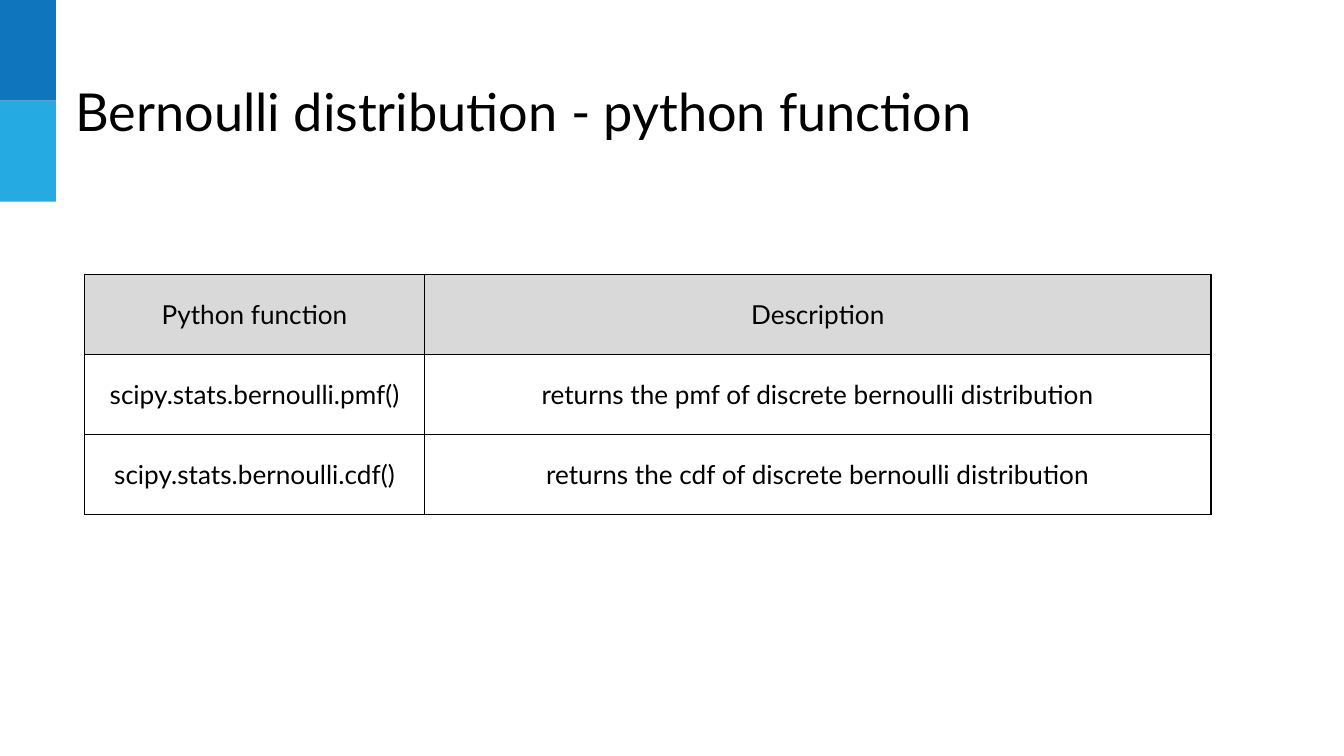
from dataclasses import dataclass

from lxml.etree import SubElement
from pptx import Presentation
from pptx.dml.color import RGBColor
from pptx.enum.shapes import MSO_SHAPE
from pptx.enum.text import MSO_ANCHOR, PP_ALIGN
from pptx.oxml.ns import qn
from pptx.util import Inches, Pt

WIDE = Inches(10)
HIGH = WIDE * 9 // 16
PAD = Inches(0.1)
FONT = "Lato"
HUES = {"deep": "0F75BD", "light": "25AAE2", "head": "D9D9D9", "ink": "000000"}


@dataclass
class Box:
    """A place in percent of the slide's width and height."""
    left: float
    top: float
    width: float
    height: float

    def emu(self) -> tuple[int, int, int, int]:
        return (round(self.left * WIDE / 100), round(self.top * HIGH / 100),
                round(self.width * WIDE / 100), round(self.height * HIGH / 100))


@dataclass
class Band:
    row: int
    hue: str


BAND_W, BAND_H = 4.17, 13.33
BANDS = [Band(0, "deep"), Band(1, "light")]
TITLE = Box(4.64, 8.7, 73.7, 11.2)
GRID = Box(6.3, 36.3, 83.8, 31.75)
COLS = (25.3, 58.5)
ROWS = [
    ("Python function", "Description"),
    ("scipy.stats.bernoulli.pmf()",
     "returns the pmf of discrete bernoulli distribution"),
    ("scipy.stats.bernoulli.cdf()",
     "returns the cdf of discrete bernoulli distribution"),
]


def color(name: str) -> RGBColor:
    return RGBColor.from_string(HUES[name])


def write(frame, text: str, *, size: float, hue: str = "ink",
          align=PP_ALIGN.LEFT) -> None:
    frame.word_wrap = True
    para = frame.paragraphs[0]
    para.alignment = align
    run = para.add_run()
    run.text = text
    run.font.name = FONT
    run.font.size = Pt(size)
    run.font.color.rgb = color(hue)


def draw_band(slide, band: Band) -> None:
    place = Box(0, band.row * BAND_H, BAND_W, BAND_H)
    shape = slide.shapes.add_shape(MSO_SHAPE.RECTANGLE, *place.emu())
    shape.shadow.inherit = False
    shape.fill.solid()
    shape.fill.fore_color.rgb = color(band.hue)
    shape.line.fill.background()


def draw_title(slide, text: str) -> None:
    frame = slide.shapes.add_textbox(*TITLE.emu()).text_frame
    frame.margin_left = frame.margin_right = PAD
    frame.margin_top = frame.margin_bottom = PAD
    frame.vertical_anchor = MSO_ANCHOR.TOP
    write(frame, text, size=28)


def add_edges(cell, width: float = 0.75) -> None:
    props = cell._tc.get_or_add_tcPr()
    for side in ("a:lnL", "a:lnR", "a:lnT", "a:lnB"):
        line = SubElement(props, qn(side), w=str(Pt(width)))
        fill = SubElement(line, qn("a:solidFill"))
        SubElement(fill, qn("a:srgbClr"), val=HUES["ink"])


def draw_cell(cell, text: str, head: bool) -> None:
    cell.margin_left = cell.margin_right = PAD
    cell.margin_top = cell.margin_bottom = PAD
    cell.vertical_anchor = MSO_ANCHOR.MIDDLE
    add_edges(cell)
    if head:
        cell.fill.solid()
        cell.fill.fore_color.rgb = color("head")
    else:
        cell.fill.background()
    write(cell.text_frame, text, size=14, align=PP_ALIGN.CENTER)


def draw_table(slide) -> None:
    place = GRID.emu()
    table = slide.shapes.add_table(len(ROWS), len(COLS), *place).table
    table.horz_banding = False
    for col, share in zip(table.columns, COLS):
        col.width = round(share * WIDE / 100)
    for r, texts in enumerate(ROWS):
        table.rows[r].height = place[3] // len(ROWS)
        for c, text in enumerate(texts):
            draw_cell(table.cell(r, c), text, head=r == 0)


def main() -> None:
    deck = Presentation()
    deck.slide_width, deck.slide_height = WIDE, HIGH
    slide = deck.slides.add_slide(deck.slide_layouts[6])

    # Side bands
    for band in BANDS:
        draw_band(slide, band)

    # Title and table
    draw_title(slide, "Bernoulli distribution - python function")
    draw_table(slide)

    deck.save("out.pptx")


if __name__ == "__main__":
    main()
